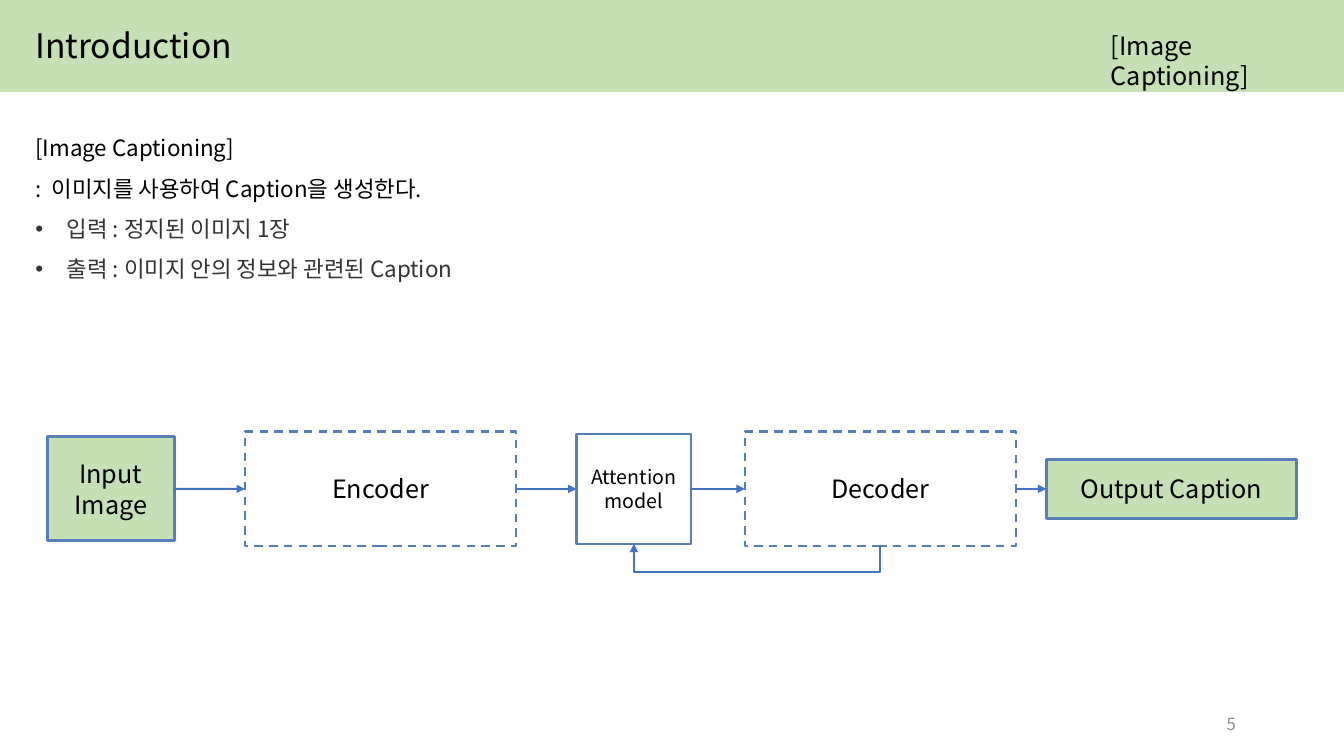
from pptx import Presentation
from pptx.dml.color import RGBColor
from pptx.enum.dml import MSO_LINE
from pptx.enum.shapes import MSO_CONNECTOR, MSO_SHAPE
from pptx.enum.text import MSO_ANCHOR, MSO_AUTO_SIZE, PP_ALIGN
from pptx.oxml.ns import qn
from pptx.util import Pt
from lxml.etree import SubElement

FONT = "Noto Sans CJK KR"
GREEN = RGBColor(0xC5, 0xE0, 0xB4)
OUTLINE = RGBColor(0x57, 0x7E, 0xB8)
ARROW = RGBColor(0x44, 0x72, 0xC4)
BLACK = RGBColor(0, 0, 0)
DARK = RGBColor(0x33, 0x33, 0x33)
GRAY = RGBColor(0x8C, 0x8C, 0x8C)


def write(box, lines, size, align=PP_ALIGN.LEFT, anchor=MSO_ANCHOR.TOP, color=BLACK):
    frame = box.text_frame
    frame.word_wrap = True
    frame.auto_size = MSO_AUTO_SIZE.NONE
    frame.vertical_anchor = anchor
    for index, line in enumerate(lines):
        para = frame.add_paragraph() if index else frame.paragraphs[0]
        para.alignment = align
        span = para.add_run()
        span.text = line
        span.font.name = FONT
        span.font.size = Pt(size)
        span.font.color.rgb = color
        SubElement(span.font._element, qn("a:ea"), typeface=FONT)


def style_arrow(arrow):
    arrow.line.color.rgb = ARROW
    arrow.line.width = Pt(1.5)
    SubElement(arrow.line._get_or_add_ln(), qn("a:tailEnd"), type="triangle")
    SubElement(arrow._element.spPr, qn("a:effectLst"))


deck = Presentation()
deck.slide_width, deck.slide_height = Pt(960), Pt(540)
page = deck.slides.add_slide(deck.slide_layouts[1])

# Header band, behind the title
band = page.shapes.add_shape(MSO_SHAPE.RECTANGLE, 0, 0, Pt(960), Pt(65))
band.shadow.inherit = False
band.fill.solid()
band.fill.fore_color.rgb = GREEN
band.line.color.rgb = GREEN
band.line.width = Pt(1)
page.shapes._spTree.insert(2, band._element)

# Title and topic
title = page.shapes.title
title.left, title.top, title.width, title.height = Pt(18), Pt(14.4), Pt(760), Pt(36)
write(title, ["Introduction"], 24, anchor=MSO_ANCHOR.MIDDLE)
topic = page.shapes.add_textbox(Pt(786.4), Pt(18), Pt(160), Pt(29))
write(topic, ["[Image Captioning]"], 18)

# Description list
body = page.placeholders[1]
body.left, body.top, body.width, body.height = Pt(18), Pt(82.8), Pt(928), Pt(119.5)
write(body, ["[Image Captioning]", ":  이미지를 사용하여 Caption을 생성한다.",
             "입력 : 정지된 이미지 1장", "출력 : 이미지 안의 정보와 관련된 Caption"], 16)
for index, para in enumerate(body.text_frame.paragraphs):
    para.line_spacing = 1.5
    para.space_before = Pt(0)
    bulleted = index >= 2
    indent = Pt(22.5) if bulleted else 0
    properties = para._p.get_or_add_pPr()
    properties.set("marL", str(indent))
    properties.set("indent", str(-indent))
    if bulleted:
        SubElement(properties, qn("a:buFont"), typeface="Arial")
        SubElement(properties, qn("a:buChar"), char="•")
        para.runs[0].font.color.rgb = DARK
    else:
        SubElement(properties, qn("a:buNone"))

# Captioning pipeline: lines, left, width, height, text size, filled, dashed
MIDDLE = 349.2
STAGES = [
    (["Input Image"], 33.8, 90.7, 74.2, 18, True, False),
    (["Encoder"], 175, 193.7, 82, 18, False, True),
    (["Attention", "model"], 411.8, 82, 78.4, 14, False, False),
    (["Decoder"], 532, 193.7, 82, 18, False, True),
    (["Output Caption"], 747.4, 178.6, 41.8, 18, True, False),
]
boxes = []
for lines, left, width, height, size, filled, dashed in STAGES:
    box = page.shapes.add_shape(MSO_SHAPE.RECTANGLE, Pt(left), Pt(MIDDLE - height / 2),
                                Pt(width), Pt(height))
    box.shadow.inherit = False
    if filled:
        box.fill.solid()
        box.fill.fore_color.rgb = GREEN
    else:
        box.fill.background()
    box.line.color.rgb = OUTLINE
    box.line.width = Pt(2.25 if filled else 1.5)
    if dashed:
        box.line.dash_style = MSO_LINE.DASH
    write(box, lines, size, PP_ALIGN.CENTER, MSO_ANCHOR.MIDDLE)
    boxes.append(box)

# Arrows between neighbouring stages
for source, target in zip(boxes, boxes[1:]):
    arrow = page.shapes.add_connector(MSO_CONNECTOR.STRAIGHT, 0, 0, 0, 0)
    arrow.begin_connect(source, 3)
    arrow.end_connect(target, 1)
    style_arrow(arrow)

# Feedback arrow from decoder to attention: an elbow turned by 90 degrees
attention, decoder = boxes[2], boxes[3]
start_x, start_y = decoder.left + decoder.width // 2, decoder.top + decoder.height
end_x, end_y = attention.left + attention.width // 2, attention.top + attention.height
center_x, center_y = (start_x + end_x) // 2, (start_y + end_y) // 2
rise, run = start_y - end_y, start_x - end_x
feedback = page.shapes.add_connector(
    MSO_CONNECTOR.ELBOW, center_x + rise // 2, center_y - run // 2,
    center_x - rise // 2, center_y + run // 2)
feedback._element.spPr.find(qn("a:xfrm")).set("rot", "5400000")
bend = -round(Pt(18) / rise * 100000)
guides = feedback._element.spPr.find(qn("a:prstGeom")).find(qn("a:avLst"))
SubElement(guides, qn("a:gd"), name="adj1", fmla=f"val {bend}")
style_arrow(feedback)

# Page number
number = page.shapes.add_textbox(Pt(674), Pt(502.5), Pt(216), Pt(28.8))
write(number, ["5"], 12, PP_ALIGN.RIGHT, MSO_ANCHOR.MIDDLE, GRAY)

deck.save("out.pptx")
